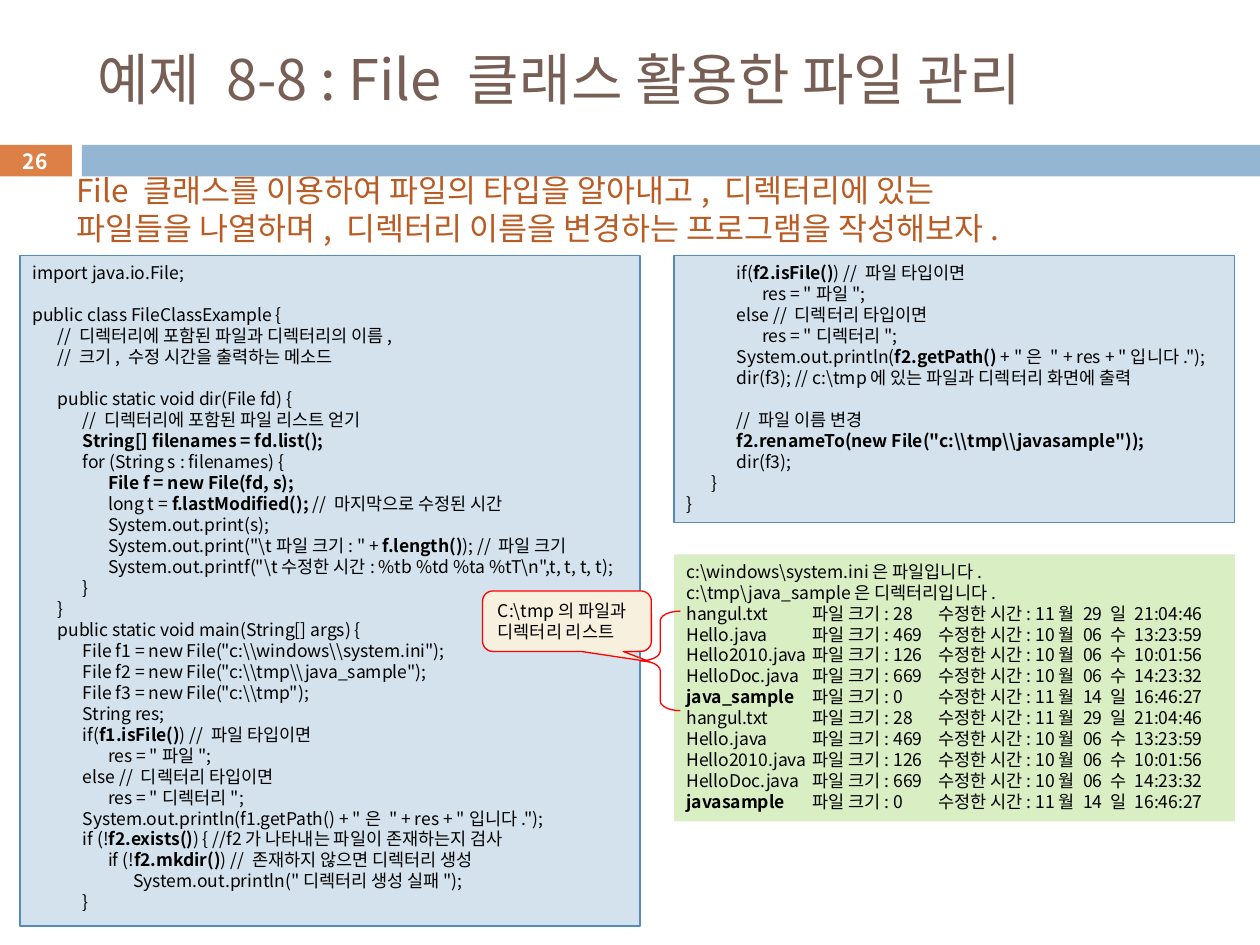
from lxml.etree import SubElement
from pptx import Presentation
from pptx.dml.color import RGBColor
from pptx.enum.shapes import MSO_SHAPE
from pptx.enum.text import MSO_ANCHOR, PP_ALIGN
from pptx.oxml.ns import qn
from pptx.util import Inches, Pt

FONT = "Noto Sans CJK KR"
BLACK, WHITE, RED = "000000", "FFFFFF", "FF0000"
ORANGE, BLUE, BROWN, RUST = "DD8047", "94B6D2", "775F55", "B95B22"
CODE_FILL, CODE_LINE, OUTPUT_FILL, NOTE_FILL = "D4E2ED", "558BB8", "DAEEC4", "F7F0DE"

# Content: ** marks bold, code lines are (indent level, text)
TITLE = "예제 8-8 : File 클래스 활용한 파일 관리"
PAGE_NUMBER = "26"
TASK = [
    "File 클래스를 이용하여 파일의 타입을 알아내고, 디렉터리에 있는",
    "파일들을 나열하며, 디렉터리 이름을 변경하는 프로그램을 작성해보자.",
]
NOTE = [r"C:\tmp의 파일과", "디렉터리 리스트"]

CODE_LEFT = [
    (0, "import java.io.File;"),
    (0, ""),
    (0, "public class FileClassExample {"),
    (1, "// 디렉터리에 포함된 파일과 디렉터리의 이름,"),
    (1, "// 크기, 수정 시간을 출력하는 메소드"),
    (0, ""),
    (1, "public static void dir(File fd) {"),
    (2, "// 디렉터리에 포함된 파일 리스트 얻기"),
    (2, "**String[] filenames = fd.list();**"),
    (2, "for (String s : filenames) {"),
    (3, "**File f = new File(fd, s);**"),
    (3, "long t = **f.lastModified(); **// 마지막으로 수정된 시간"),
    (3, "System.out.print(s);"),
    (3, r'System.out.print("\t파일 크기: " + **f.length()**); // 파일 크기'),
    (3, r'System.out.printf("\t수정한 시간: %tb %td %ta %tT\n",t, t, t, t);'),
    (2, "}"),
    (1, "}"),
    (1, "public static void main(String[] args) {"),
    (2, r'File f1 = new File("c:\\windows\\system.ini");'),
    (2, r'File f2 = new File("c:\\tmp\\java_sample");'),
    (2, r'File f3 = new File("c:\\tmp");'),
    (2, "String res;"),
    (2, "if(**f1.isFile()**) // 파일 타입이면"),
    (3, 'res = "파일";'),
    (2, "else // 디렉터리 타입이면"),
    (3, 'res = "디렉터리";'),
    (2, 'System.out.println(f1.getPath() + "은 " + res + "입니다.");'),
    (2, "if (!**f2.exists()**) { //f2가 나타내는 파일이 존재하는지 검사"),
    (3, "if (!**f2.mkdir()**) // 존재하지 않으면 디렉터리 생성"),
    (4, 'System.out.println("디렉터리 생성 실패");'),
    (2, "}"),
]

CODE_RIGHT = [
    (2, "if(**f2.isFile()**) // 파일 타입이면"),
    (3, 'res = "파일";'),
    (2, "else // 디렉터리 타입이면"),
    (3, 'res = "디렉터리";'),
    (2, 'System.out.println(**f2.getPath()** + "은 " + res + "입니다.");'),
    (2, r"dir(f3); // c:\tmp에 있는 파일과 디렉터리 화면에 출력"),
    (0, ""),
    (2, "// 파일 이름 변경"),
    (2, r'**f2.renameTo(new File("c:\\tmp\\javasample"));**'),
    (2, "dir(f3);"),
    (1, "}"),
    (0, "}"),
]

MESSAGES = [r"c:\windows\system.ini은 파일입니다.", r"c:\tmp\java_sample은 디렉터리입니다."]
FILES = [
    ("hangul.txt", 28, "11월 29 일 21:04:46"),
    ("Hello.java", 469, "10월 06 수 13:23:59"),
    ("Hello2010.java", 126, "10월 06 수 10:01:56"),
    ("HelloDoc.java", 669, "10월 06 수 14:23:32"),
]
DIRECTORY_NAMES = ["java_sample", "javasample"]  # before and after renaming
DIRECTORY_DETAILS = (0, "11월 14 일 16:46:27")

CODE_TABS = [0.2, 0.4, 0.6, 0.8]
OUTPUT_TABS = [1, 2]


def color(hex_value):
    return RGBColor.from_string(hex_value)


def code_lines(code):
    return ["\t" * level + text for level, text in code]


def output_lines():
    lines = list(MESSAGES)
    for directory in DIRECTORY_NAMES:
        for name, size, time in FILES + [(f"**{directory}**", *DIRECTORY_DETAILS)]:
            lines.append(f"{name}\t파일 크기: {size}\t수정한 시간: {time}")
    return lines


def write(shape, lines, size=10, text_color=BLACK, bold=False, align=PP_ALIGN.LEFT,
          anchor=MSO_ANCHOR.TOP, tabs=()):
    frame = shape.text_frame
    frame.word_wrap = True
    frame.vertical_anchor = anchor
    for index, line in enumerate(lines):
        paragraph = frame.paragraphs[0] if index == 0 else frame.add_paragraph()
        paragraph.alignment = align
        paragraph.line_spacing = Pt(size * 1.2)
        font = paragraph.font
        font.size, font.name, font.bold = Pt(size), FONT, bold
        font.color.rgb = color(text_color)
        properties = paragraph._p.get_or_add_pPr()
        defaults = properties.find(qn("a:defRPr"))
        SubElement(defaults, qn("a:ea"), typeface=FONT)
        if tabs:
            tab_list = SubElement(properties, qn("a:tabLst"))
            defaults.addprevious(tab_list)
            for position in tabs:
                SubElement(tab_list, qn("a:tab"), pos=str(Inches(position)), algn="l")
        for part, text in enumerate(line.split("**")):
            if text:
                run = paragraph.add_run()
                run.text = text
                if part % 2:
                    run.font.bold = True


def add_box(slide, box, fill=None, line=None, kind=MSO_SHAPE.RECTANGLE, adjustments=()):
    shape = slide.shapes.add_shape(kind, *map(Inches, box))
    shape.shadow.inherit = False
    for index, value in enumerate(adjustments):
        shape.adjustments[index] = value
    if fill:
        shape.fill.solid()
        shape.fill.fore_color.rgb = color(fill)
    else:
        shape.fill.background()
    if line:
        shape.line.color.rgb = color(line)
        shape.line.width = Pt(0.75)
    else:
        shape.line.fill.background()
    return shape


def main():
    presentation = Presentation()
    presentation.slide_width, presentation.slide_height = Inches(10), Inches(7.5)
    slide = presentation.slides.add_slide(presentation.slide_layouts[5])

    # Title and band with the page number
    title = slide.shapes.title
    title.left, title.top, title.width, title.height = map(Inches, (0.67, 0.25, 8.92, 0.74))
    write(title, [TITLE], 32, BROWN, anchor=MSO_ANCHOR.MIDDLE)
    number = add_box(slide, (-0.01, 1.15, 0.58, 0.25), ORANGE)
    write(number, [PAGE_NUMBER], 12, WHITE, True, PP_ALIGN.CENTER, MSO_ANCHOR.MIDDLE)
    add_box(slide, (0.65, 1.15, 9.35, 0.25), BLUE)

    # Task
    task = slide.shapes.add_textbox(*map(Inches, (0.51, 1.31, 8.58, 0.71)))
    write(task, TASK, 18, RUST)

    # Code and program output
    left_code = add_box(slide, (0.16, 2.03, 4.92, 5.32), CODE_FILL, CODE_LINE)
    write(left_code, code_lines(CODE_LEFT), tabs=CODE_TABS)
    right_code = add_box(slide, (5.35, 2.03, 4.45, 2.12), CODE_FILL, CODE_LINE)
    write(right_code, code_lines(CODE_RIGHT), tabs=CODE_TABS)
    output = add_box(slide, (5.35, 4.4, 4.45, 2.12), OUTPUT_FILL)
    write(output, output_lines(), tabs=OUTPUT_TABS)

    # Note on the directory listing
    add_box(slide, (5.08, 4.85, 0.32, 0.79), line=RED, kind=MSO_SHAPE.LEFT_BRACE,
            adjustments=(0.24, 0.5))
    note = add_box(slide, (3.83, 4.69, 1.34, 0.48), NOTE_FILL, RED,
                   MSO_SHAPE.ROUNDED_RECTANGULAR_CALLOUT, (0.49, 0.67, 0.17))
    write(note, NOTE)

    presentation.save("out.pptx")


if __name__ == "__main__":
    main()
